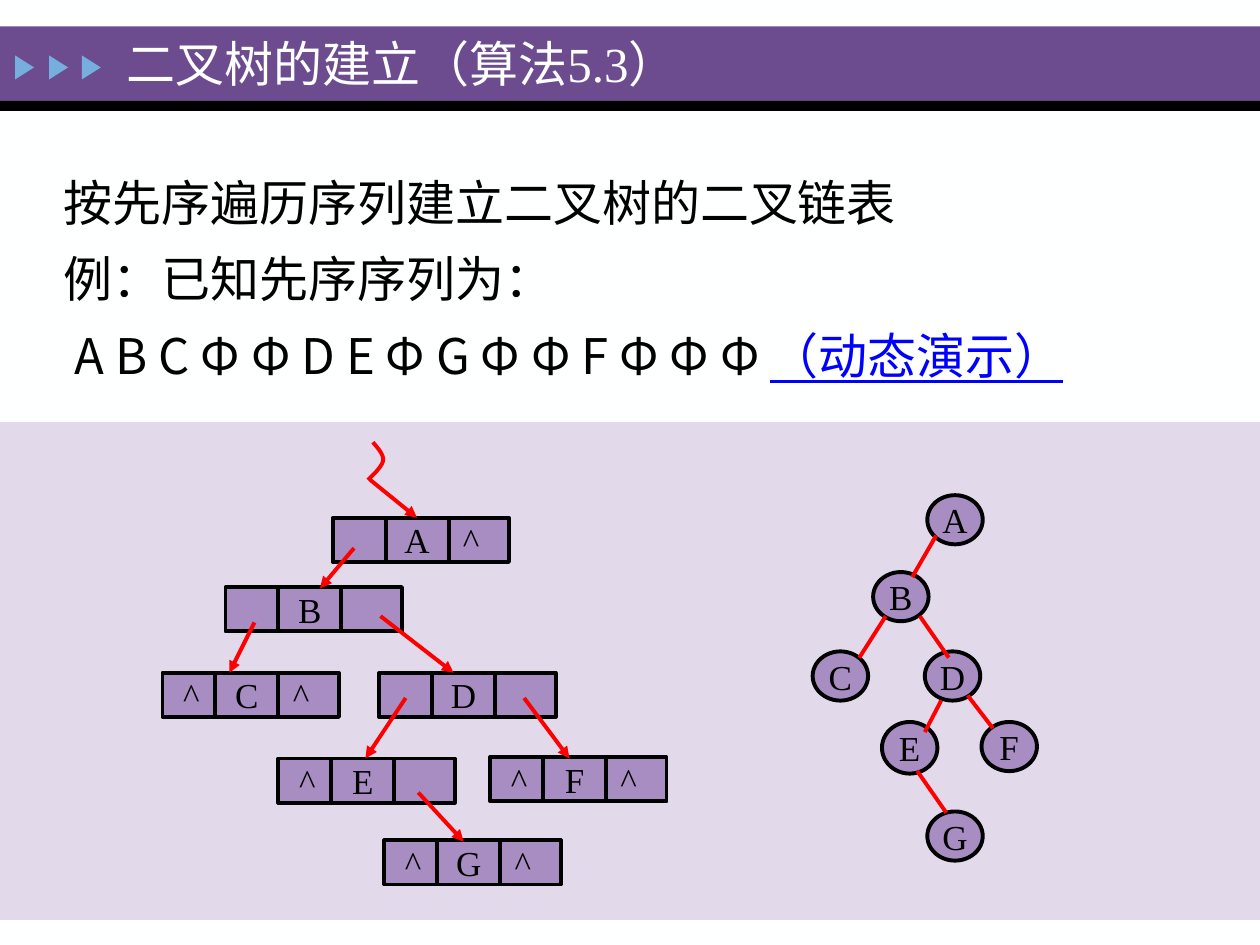
from typing import NamedTuple

from lxml import etree
from pptx import Presentation
from pptx import util as u
from pptx.dml.color import RGBColor
from pptx.enum import shapes, text
from pptx.oxml.ns import qn

PX = u.Inches(1) // 100  # 100 px to the inch
COLORS = {
    "paper": "FEFFFF", "banner": "6C4C8F", "black": "000000", "arrow": "76AEDD",
    "panel": "E2D9EB", "node": "A78DC2", "link": "FF0000", "demo": "0000FF",
}
SERIF, SANS = "Times New Roman", "Noto Sans CJK SC"
LINE_WIDTH = u.Pt(2.25)
NODE_WIDTH = 44
RECORD_WIDTH, RECORD_HEIGHT = 140, 35
DIVIDERS = (42, 92)
FIELD_CENTRES = (23, 67, 110)


class Node(NamedTuple):
    label: str
    left: int
    top: int
    height: int = 39


class Record(NamedTuple):
    left: int
    top: int
    fields: tuple[str, str, str]


class Link(NamedTuple):
    x1: int
    y1: int
    x2: int
    y2: int


NODES = [
    Node("A", 736, 393), Node("B", 693, 454), Node("C", 645, 517), Node("D", 734, 517),
    Node("E", 700, 573, 41), Node("F", 779, 573), Node("G", 736, 644),
]
EDGES = [
    Link(743, 425, 724, 458), Link(703, 489, 682, 522), Link(730, 489, 753, 522),
    Link(747, 556, 734, 581), Link(768, 552, 788, 578), Link(728, 612, 751, 645),
]
RECORDS = [
    Record(264, 411, ("", "A", "^")), Record(179, 466, ("", "B", "")),
    Record(129, 534, ("^", "C", "^")), Record(301, 534, ("", "D", "")),
    Record(221, 602, ("^", "E", "")), Record(389, 601, ("^", "F", "^")),
    Record(305, 667, ("^", "G", "^")),
]
POINTERS = [
    Link(281, 435, 254, 467), Link(202, 494, 182, 534), Link(302, 489, 360, 534),
    Link(322, 554, 290, 602), Link(416, 554, 452, 602), Link(332, 629, 368, 668),
    Link(294, 381, 331, 411),
]
ROOT_CURVE = [
    ((296, 351), (300, 356), (305, 361), (304, 366)),
    ((304, 366), (303, 371), (294, 379), (292, 381)),
]


def color(name: str) -> RGBColor:
    return RGBColor.from_string(COLORS[name])


def style_font(font, name: str, size: int, tint: str) -> None:
    font.name, font.size = name, u.Pt(size)
    font.color.rgb = color(tint)


def add_block(page, kind, left: int, top: int, width: int, height: int,
              fill: str, outlined: bool = False):
    block = page.shapes.add_shape(kind, left * PX, top * PX, width * PX, height * PX)
    block.shadow.inherit = False
    block.fill.solid()
    block.fill.fore_color.rgb = color(fill)
    if outlined:
        block.line.color.rgb = color("black")
        block.line.width = LINE_WIDTH
    else:
        block.line.fill.background()
    return block


def add_line(page, link: Link, tint: str, arrow: bool = False) -> None:
    line = page.shapes.add_connector(
        shapes.MSO_CONNECTOR.STRAIGHT, *(value * PX for value in link))
    line.line.color.rgb = color(tint)
    line.line.width = LINE_WIDTH
    if arrow:
        etree.SubElement(line.line._get_or_add_ln(), qn("a:tailEnd"), type="triangle")
    etree.SubElement(line._element.spPr, qn("a:effectLst"))


def set_label(block, label: str, align):
    frame = block.text_frame
    frame.margin_left = frame.margin_right = frame.margin_top = frame.margin_bottom = 0
    frame.vertical_anchor = text.MSO_ANCHOR.MIDDLE
    para = frame.paragraphs[0]
    para.text, para.alignment = label, align
    style_font(para.font, SERIF, 20, "black")
    return para


def add_node(page, node: Node) -> None:
    circle = add_block(page, shapes.MSO_SHAPE.OVAL, node.left, node.top,
                       NODE_WIDTH, node.height, "node", True)
    set_label(circle, node.label, text.PP_ALIGN.CENTER)
    circle.text_frame.word_wrap = False


def add_record(page, record: Record) -> None:
    """Draw a linked-list cell whose three fields sit on centred tab stops."""
    box = add_block(page, shapes.MSO_SHAPE.RECTANGLE, record.left, record.top,
                    RECORD_WIDTH, RECORD_HEIGHT, "node", True)
    fields = "".join("\t" + field for field in record.fields).rstrip()
    para = set_label(box, fields, text.PP_ALIGN.LEFT)
    stops = etree.Element(qn("a:tabLst"))
    for centre in FIELD_CENTRES:
        etree.SubElement(stops, qn("a:tab"), pos=str(centre * PX), algn="ctr")
    para._p.get_or_add_pPr().insert(0, stops)
    for offset in DIVIDERS:
        x = record.left + offset
        add_line(page, Link(x, record.top, x, record.top + RECORD_HEIGHT), "black")


def bezier(points, steps: int = 8) -> list[tuple[int, int]]:
    """Points along a cubic curve in EMU, without its start."""
    curve = []
    for step in range(1, steps + 1):
        t = step / steps
        weights = ((1 - t) ** 3, 3 * t * (1 - t) ** 2, 3 * t * t * (1 - t), t ** 3)
        curve.append(tuple(
            round(PX * sum(w * point[axis] for w, point in zip(weights, points)))
            for axis in (0, 1)))
    return curve


def add_root_curve(page) -> None:
    x, y = ROOT_CURVE[0][0]
    builder = page.shapes.build_freeform(x * PX, y * PX)
    for segment in ROOT_CURVE:
        builder.add_line_segments(bezier(segment), close=False)
    curve = builder.convert_to_shape()
    curve.shadow.inherit = False
    curve.fill.background()
    curve.line.color.rgb = color("link")
    curve.line.width = LINE_WIDTH


def add_text_box(page, left: int, top: int, width: int, height: int):
    box = page.shapes.add_textbox(left * PX, top * PX, width * PX, height * PX)
    box.text_frame.word_wrap = True
    return box.text_frame


def add_span(para, words: str, font: str, tint: str):
    span = para.add_run()
    span.text = words
    style_font(span.font, font, 28, tint)
    return span


def add_body(page) -> None:
    para = add_text_box(page, 41, 118, 943, 194).paragraphs[0]
    para.line_spacing, para.space_before = 1.3, u.Pt(5.6)
    for words in ("按先序遍历序列建立二叉树的二叉链表", "例：已知先序序列为："):
        add_span(para, words, SERIF, "black")
        para.add_line_break()
    add_span(para, " ", SERIF, "black")
    add_span(para, "A B C Φ Φ D E Φ G Φ Φ F Φ Φ Φ ", SANS, "black")
    add_span(para, "（动态演示）", SERIF, "demo").font.underline = True


def main() -> None:
    deck = Presentation()
    deck.slide_width, deck.slide_height = 1000 * PX, 750 * PX
    page = deck.slides.add_slide(deck.slide_layouts[6])
    page.background.fill.solid()
    page.background.fill.fore_color.rgb = color("paper")

    for top, height, fill in ((21, 59, "banner"), (80, 8, "black"), (335, 395, "panel")):
        add_block(page, shapes.MSO_SHAPE.RECTANGLE, 0, top, 1000, height, fill)
    for left in (10, 37, 63):
        add_block(page, shapes.MSO_SHAPE.ISOSCELES_TRIANGLE,
                  left, 46, 19, 15, "arrow").rotation = 90

    for node in NODES:
        add_node(page, node)
    for edge in EDGES:
        add_line(page, edge, "link")
    for record in RECORDS:
        add_record(page, record)
    for pointer in POINTERS:
        add_line(page, pointer, "link", arrow=True)
    add_root_curve(page)

    add_body(page)
    title = add_text_box(page, 91, 22, 586, 56)
    title.vertical_anchor = text.MSO_ANCHOR.MIDDLE
    add_span(title.paragraphs[0], "二叉树的建立（算法5.3）", SERIF, "paper")
    deck.save("out.pptx")


if __name__ == "__main__":
    main()
